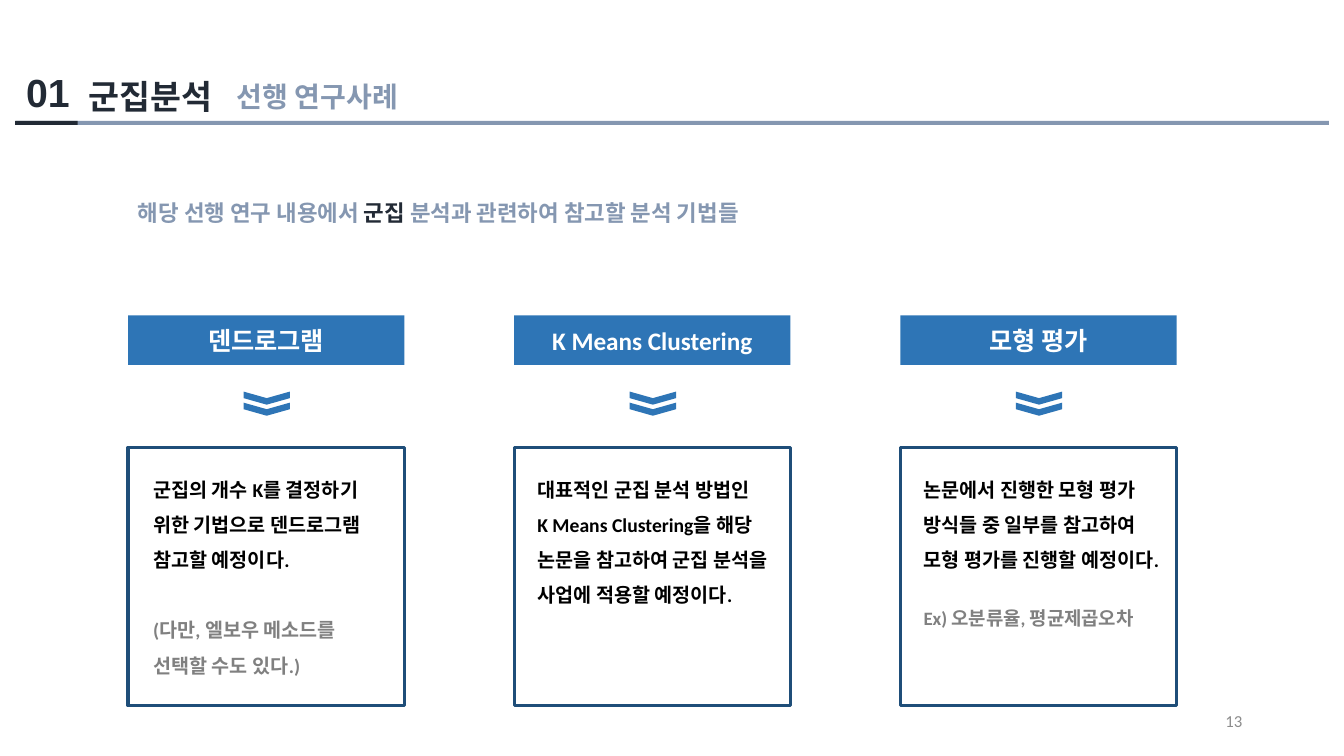
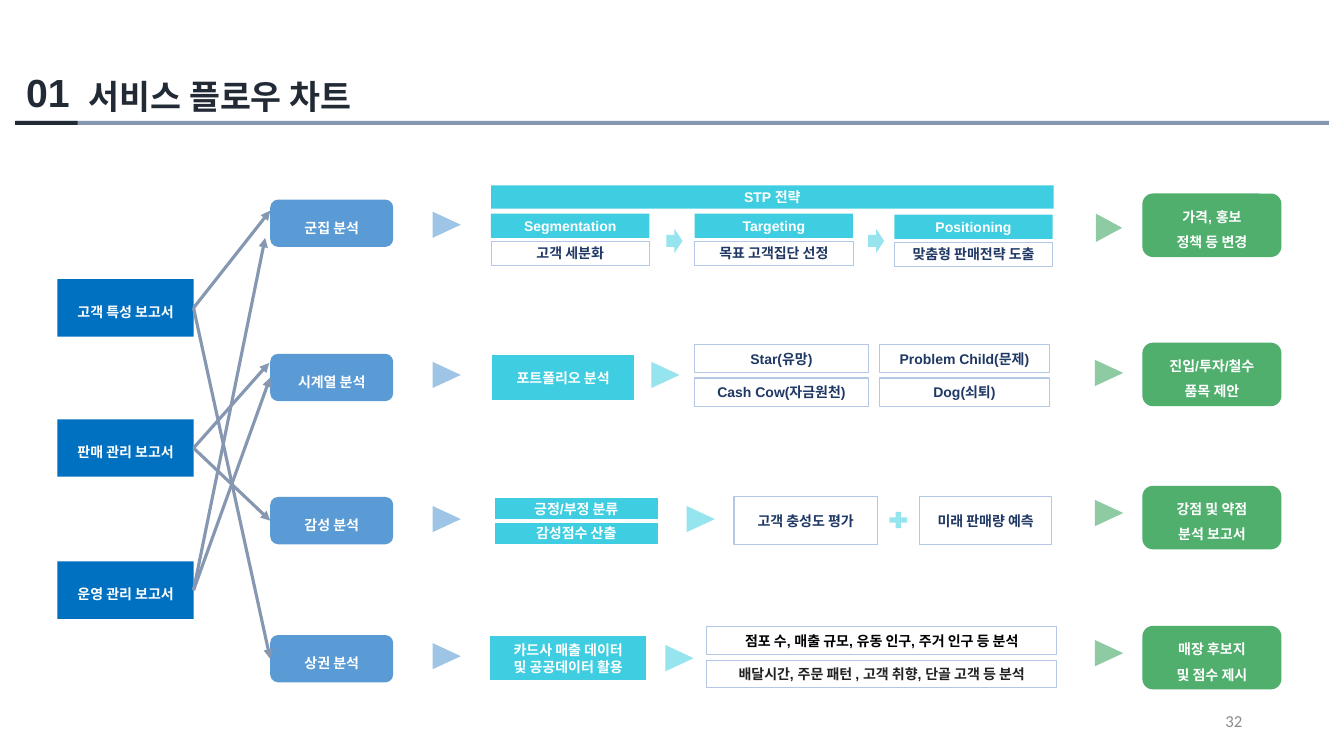
from pptx import Presentation
from pptx.dml.color import RGBColor
from pptx.enum.shapes import MSO_CONNECTOR, MSO_SHAPE as Shape
from pptx.enum.text import MSO_ANCHOR as Anchor, MSO_AUTO_SIZE, PP_ALIGN as Align
from pptx.oxml.ns import qn
from pptx.util import Emu, Pt
from lxml.etree import SubElement

# Shared look: 100 px to the inch
PX = 9144
NAVY, SLATE, WHITE, BLACK = "222A35", "8597B1", "FFFFFF", "000000"
BLUE, FRAME, GRAY, NUMBER = "2E75B6", "1F4E79", "808080", "8C8C8C"
REPORT, ANALYSIS, RESULT = "0070C0", "5B9BD5", "51AF6E"
CYAN, INK, PALE_LINE = "3FCEE1", "203864", "B4C7E7"
PALE_BLUE, PALE_CYAN, PALE_GREEN = "9EC4E6", "96E4EE", "8FCBA2"

# Slide 1 content
LEAD = [("해당 선행 연구 내용에서 ", SLATE), ("군집", NAVY),
        (" 분석과 관련하여 참고할 분석 기법들", SLATE)]
# heading, left inset, main paragraphs, (note, size, space before)
METHODS = [
    ("덴드로그램", 25,
     ["군집의 개수 K를 결정하기 위한 기법으로 덴드로그램", "참고할 예정이다."],
     ("(다만, 엘보우 메소드를 선택할 수도 있다.)", 14, 25)),
    ("K Means Clustering", 23,
     ["대표적인 군집 분석 방법인",
      "K Means Clustering을 해당 논문을 참고하여 군집 분석을 사업에 적용할 예정이다."],
     None),
    ("모형 평가", 23,
     ["논문에서 진행한 모형 평가 방식들 중 일부를 참고하여 모형 평가를 진행할 예정이다."],
     ("Ex) 오분류율, 평균제곱오차", 13.5, 17)),
]

# Slide 2 content
REPORTS = [("고객 특성 보고서", 277), ("판매 관리 보고서", 416), ("운영 관리 보고서", 557)]
# analysis, top, arrow top, result lines, result top, result arrow (left, top, width, height)
FLOWS = [
    ("군집 분석", 198, 209, ["가격, 홍보", "정책 등 변경"], 192, (1086, 213, 28, 26)),
    ("시계열 분석", 351, 358, ["진입/투자/철수", "품목 제안"], 340, (1087, 356, 26, 28)),
    ("감성 분석", 493, 501, ["강점 및 약점", "분석 보고서"], 482, (1087, 495, 26, 28)),
    ("상권 분석", 630, 637, ["매장 후보지", "및 점수 제시"], 621, (1087, 634, 26, 28)),
]
# report, analysis, end point (None: middle of the analysis box's left side)
LINKS = [(0, 0, (268, 209)), (0, 3, None), (1, 1, (267, 360)),
         (1, 2, None), (2, 0, (263, 236)), (2, 1, None)]
# Filled steps: lines, (left, top, width, height), white outline width
STEPS = [
    (["STP 전략"], (487, 184, 558, 23), 0),
    (["포트폴리오 분석"], (487, 351, 143, 47), 2),
    (["긍정/부정 분류"], (489, 493, 165, 24), 2.25),
    (["감성점수 산출"], (489, 517, 165, 24), 2.25),
    (["카드사 매출 데이터", "및 공공데이터 활용"], (485, 630, 157, 46), 2),
]
# heading, detail, left, top
STP_STAGES = [("Segmentation", "고객 세분화", 487, 212),
              ("Targeting", "목표 고객집단 선정", 689, 212),
              ("Positioning", "맞춤형 판매전략 도출", 887, 213)]
# Outlined details: text, (left, top, width, height), text colour
DETAILS = [
    ("Star(유망)", (689, 342, 172, 28), INK),
    ("Problem Child(문제)", (872, 342, 169, 28), INK),
    ("Cash Cow(자금원천)", (689, 375, 172, 28), INK),
    ("Dog(쇠퇴)", (872, 375, 169, 28), INK),
    ("고객 충성도 평가", (728, 493, 142, 47), INK),
    ("미래 판매량 예측", (912, 493, 131, 47), INK),
    ("점포 수, 매출 규모, 유동 인구, 주거 인구 등 분석", (701, 622, 347, 27), BLACK),
    ("배달시간, 주문 패턴 , 고객 취향, 단골 고객 등 분석", (701, 655, 347, 27), "222222"),
]
STEP_ARROWS = [(647, 358), (682, 501), (661, 639)]


def paint(color):
    return RGBColor.from_string(color)


def px(*lengths):
    return [Emu(round(length * PX)) for length in lengths]


def write(box, paragraphs, size=10, font="Arial", color=WHITE, bold=True, align=Align.CENTER,
          anchor=Anchor.MIDDLE, spacing=None, insets=(10, 5, 10, 5)):
    """Fill a box; a paragraph is a string or a list of (text, colour) spans."""
    frame = box.text_frame
    frame.word_wrap, frame.auto_size = True, MSO_AUTO_SIZE.NONE
    frame.vertical_anchor = anchor
    (frame.margin_left, frame.margin_top,
     frame.margin_right, frame.margin_bottom) = px(*insets)
    for index, content in enumerate(paragraphs):
        para = frame.add_paragraph() if index else frame.paragraphs[0]
        para.alignment = align
        if spacing:
            para.line_spacing = spacing
        for text, shade in [(content, color)] if isinstance(content, str) else content:
            span = para.add_run()
            span.text = text
            span.font.size, span.font.name, span.font.bold = Pt(size), font, bold
            span.font.color.rgb = paint(shade)
    return box


def add_label(page, place, text, **style):
    style = {"align": Align.LEFT, "anchor": Anchor.TOP, "font": "Calibri", **style}
    return write(page.shapes.add_textbox(*px(*place)), [text], **style)


def add_block(page, place, fill=None, kind=Shape.RECTANGLE, line=None, width=0, turn=0):
    block = page.shapes.add_shape(kind, *px(*place))
    block.shadow.inherit = False
    block.rotation = turn
    if fill:
        block.fill.solid()
        block.fill.fore_color.rgb = paint(fill)
    else:
        block.fill.background()
    if line and width:
        block.line.color.rgb = paint(line)
        block.line.width = Pt(width)
    else:
        block.line.fill.background()
    return block


def add_pointer(page, place, fill):
    add_block(page, place, fill, Shape.ISOSCELES_TRIANGLE, turn=90)


def add_link(page, report, analysis, end):
    link = page.shapes.add_connector(MSO_CONNECTOR.STRAIGHT, 0, 0, *px(*(end or (0, 0))))
    link.begin_connect(report, 3)
    if end is None:
        link.end_connect(analysis, 1)
    link.line.color.rgb = paint(SLATE)
    link.line.width = Pt(2.25)
    properties = link._element.spPr
    SubElement(properties.find(qn("a:ln")), qn("a:tailEnd"), type="triangle")
    SubElement(properties, qn("a:effectLst"))


def add_page(deck, title, title_width, number):
    page = deck.slides.add_slide(deck.slide_layouts[5])
    add_block(page, (16, 120, 1302, 4), SLATE)
    add_block(page, (15, 120, 62, 4), NAVY)
    add_label(page, (16, 63, 67, 57), "01", size=28, font="Arial", color=NAVY)
    heading = page.shapes.title
    heading.left, heading.top, heading.width, heading.height = px(78, 70, title_width, 50)
    write(heading, [title], size=24, font="Calibri", color=NAVY,
          align=Align.LEFT, anchor=Anchor.TOP)
    add_label(page, (942, 695, 300, 40), number, size=12, color=NUMBER, bold=False,
              align=Align.RIGHT, anchor=Anchor.MIDDLE)
    return page


def build_methods(deck):
    page = add_page(deck, "군집분석", 186, "13")
    add_label(page, (225, 74, 240, 44), "선행 연구사례", size=20, color=SLATE)
    add_label(page, (127, 193, 700, 37), LEAD, size=16)
    for column, (heading, inset, body, note) in enumerate(METHODS):
        left, width = 127 + 383 * column, 274
        write(add_block(page, (left, 313, width, 49), BLUE), [heading], size=18, font="Calibri")
        for top in (372, 383):
            add_block(page, (left + 131, top, 13, 46), BLUE, Shape.CHEVRON, turn=90)
        card = add_block(page, (left, 444, width, 256), line=FRAME, width=2.25)
        paragraphs = body + ([[(note[0], GRAY)]] if note else [])
        write(card, paragraphs, size=14, font="Calibri", color=BLACK, align=Align.LEFT,
              anchor=Anchor.TOP, spacing=1.5, insets=(inset, 18, width - 229 - inset, 5))
        if note:
            para = card.text_frame.paragraphs[-1]
            para.space_before = Pt(note[2])
            para.runs[0].font.size = Pt(note[1])


def build_flow(deck):
    page = add_page(deck, "서비스 플로우 차트", 363, "32")
    rounded = Shape.FLOWCHART_ALTERNATE_PROCESS

    # Reports, analyses and results
    reports = [write(add_block(page, (57, top, 135, 57), REPORT), [name], spacing=1.5)
               for name, top in REPORTS]
    analyses = []
    for name, top, arrow_top, result, result_top, result_arrow in FLOWS:
        analysis = add_block(page, (268, top, 122, 47), ANALYSIS, rounded)
        analyses.append(write(analysis, [name], spacing=1.5))
        add_pointer(page, (430, arrow_top, 26, 28), PALE_BLUE)
        add_pointer(page, result_arrow, PALE_GREEN)
        write(add_block(page, (1133, result_top, 138, 63), RESULT, rounded), result, spacing=1.5)

    # Steps between analysis and result
    for lines, place, outline in STEPS:
        write(add_block(page, place, CYAN, line=WHITE, width=outline), lines)
    for heading, detail, left, top in STP_STAGES:
        write(add_block(page, (left, top, 157, 24), CYAN), [heading])
        write(add_block(page, (left, top + 27, 157, 24), line=PALE_LINE, width=0.25),
              [detail], color=INK)
    for text, place, color in DETAILS:
        write(add_block(page, place, line=PALE_LINE, width=0.75), [text], color=color)
    for left in (661, 861):
        add_block(page, (left, 227, 16, 24), PALE_CYAN, Shape.RIGHT_ARROW)
    for left, top in STEP_ARROWS:
        add_pointer(page, (left, top, 26, 28), PALE_CYAN)
    add_block(page, (879, 505, 24, 22), PALE_CYAN, Shape.MATH_PLUS)

    # Links from reports to analyses
    for report, analysis, end in LINKS:
        add_link(page, reports[report], analyses[analysis], end)


def main():
    deck = Presentation()
    deck.slide_width, deck.slide_height = px(1333, 750)
    build_methods(deck)
    build_flow(deck)
    deck.save("out.pptx")


if __name__ == "__main__":
    main()
